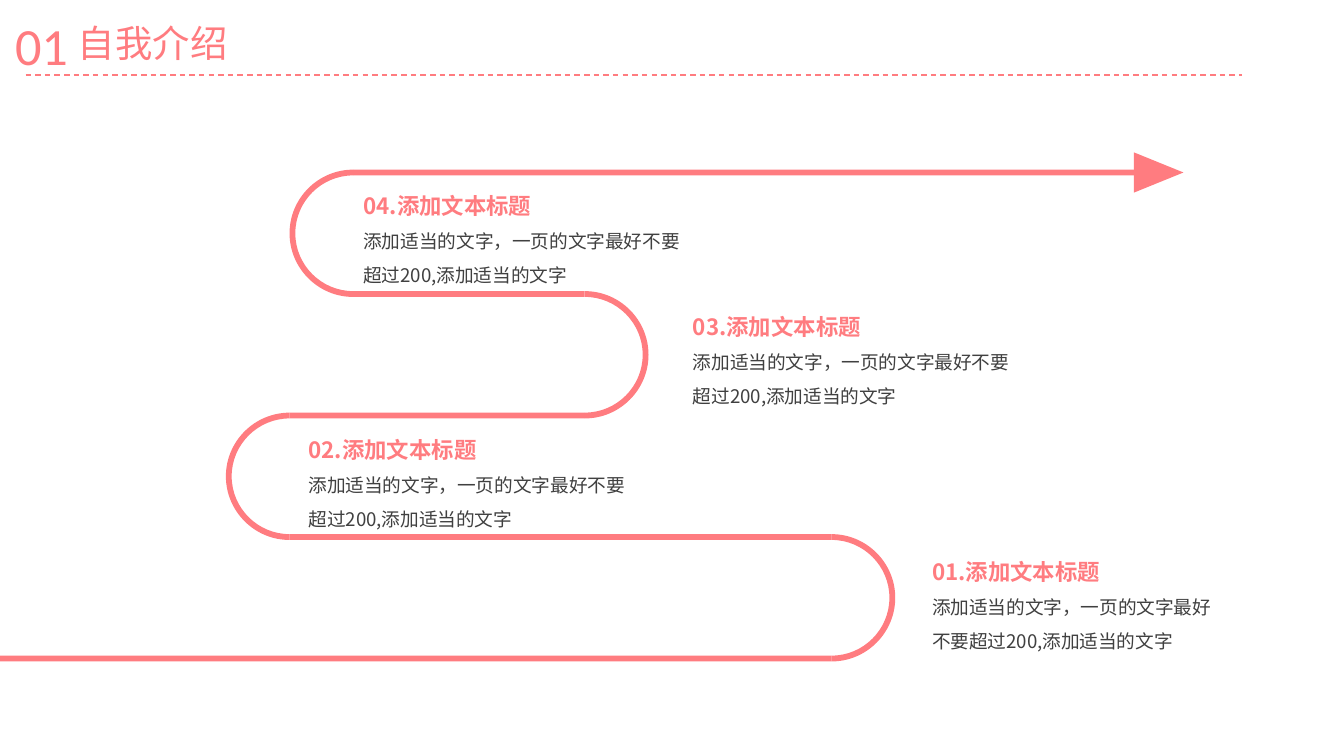
import itertools
from dataclasses import dataclass

from lxml import etree
from pptx import Presentation
from pptx.dml.color import RGBColor
from pptx.enum import dml, shapes, text
from pptx.oxml import ns
from pptx.util import Pt


@dataclass(frozen=True)
class Theme:
    accent: RGBColor = RGBColor(0xFF, 0x7C, 0x80)
    body: RGBColor = RGBColor(0x40, 0x40, 0x40)
    han: str = "Noto Sans CJK SC"
    latin: str = "Calibri"
    number_size: int = 28
    title_size: int = 20
    heading_size: int = 12
    body_size: int = 10


@dataclass(frozen=True)
class Box:
    left: float
    top: float
    width: float
    height: float

    def inner(self, left, top, width, height):
        return Box(self.left + left, self.top + top, width, height)

    def lengths(self):
        return [Pt(side) for side in (self.left, self.top, self.width, self.height)]


THEME = Theme()
DETAIL = "添加适当的文字，一页的文字最好不要超过200,添加适当的文字"
CURVE = 0.55


def style(para, size, color, name=THEME.han, bold=False):
    font = para.font
    font.size, font.bold, font.name = Pt(size), bold, name
    font.color.rgb = color
    latin = para._p.find(".//" + ns.qn("a:latin"))
    latin.addnext(etree.Element(ns.qn("a:ea"), typeface=name))


def add_text(page, box, lines, wrap=True):
    frame = page.shapes.add_textbox(*box.lengths()).text_frame
    frame.word_wrap = wrap
    frame.auto_size = text.MSO_AUTO_SIZE.SHAPE_TO_FIT_TEXT
    frame.text = "\n".join(lines)
    return frame


def add_text_shadow(span):
    effects = etree.SubElement(span._r.get_or_add_rPr(), ns.qn("a:effectLst"))
    shadow = etree.SubElement(effects, ns.qn("a:outerShdw"), blurRad="38100",
                              dist="38100", dir="2700000", algn="tl")
    color = etree.SubElement(shadow, ns.qn("a:srgbClr"), val="000000")
    etree.SubElement(color, ns.qn("a:alpha"), val="43000")


def paint(shape):
    shape.shadow.inherit = False
    shape.fill.solid()
    shape.fill.fore_color.rgb = THEME.accent
    shape.line.fill.background()


def half_circle(reach):
    pull = CURVE * reach
    return [(0, -reach), (pull, -reach), (reach, -pull), (reach, 0),
            (reach, pull), (pull, reach), (0, reach)]


def round_corners(shape):
    lines = iter(shape._element.findall(".//" + ns.qn("a:lnTo")))
    for size in (3, 3, 1, 3, 3):
        group = list(itertools.islice(lines, size))
        if size == 3:
            curve = etree.Element(ns.qn("a:cubicBezTo"))
            group[0].addprevious(curve)
            for line in group:
                curve.append(line[0])
                line.getparent().remove(line)


def add_bend(page, center_x, top, height, thickness, side):
    radius = height / 2
    outline = half_circle(radius) + half_circle(radius - thickness)[::-1]
    points = [(Pt(center_x + side * x), Pt(top + radius + y)) for x, y in outline]
    builder = page.shapes.build_freeform(*points[0])
    builder.add_line_segments(points[1:], close=True)
    bend = builder.convert_to_shape()
    round_corners(bend)
    paint(bend)


def add_road(page, box, turns):
    thickness = 3.1
    pitch = (box.height - thickness) / len(turns)
    stops = [0, *turns, box.width]
    for index, (start, end) in enumerate(zip(stops, stops[1:])):
        top = box.height - thickness - index * pitch
        rail = box.inner(min(start, end), top, abs(end - start), thickness)
        paint(page.shapes.add_shape(shapes.MSO_SHAPE.RECTANGLE, *rail.lengths()))
        if index < len(turns):
            add_bend(page, box.left + end, box.top + top - pitch,
                     pitch + thickness, thickness, 1 if end > start else -1)
    tip = box.inner(box.width - 0.2, thickness / 2 - 13.3, 21.6, 26.6)
    head = page.shapes.add_shape(shapes.MSO_SHAPE.ISOSCELES_TRIANGLE, *tip.lengths())
    head.rotation = 90
    paint(head)


def add_step(page, box, number):
    frame = add_text(page, box, [f"{number:02}.添加文本标题", DETAIL])
    frame.margin_left = frame.margin_right = Pt(5.4)
    frame.margin_top = frame.margin_bottom = Pt(2.7)
    heading, detail = frame.paragraphs
    heading.line_spacing = detail.line_spacing = 1.5
    style(heading, THEME.heading_size, THEME.accent, bold=True)
    style(detail, THEME.body_size, THEME.body)


def add_header(page, box, number, title):
    rule_left, rule_top = box.left + 12.7, box.top + box.height
    rule = page.shapes.add_connector(
        shapes.MSO_CONNECTOR.STRAIGHT, Pt(rule_left), Pt(rule_top),
        Pt(box.left + box.width), Pt(rule_top))
    rule.line.color.rgb = THEME.accent
    rule.line.width = Pt(0.75)
    rule.line.dash_style = dml.MSO_LINE.DASH
    etree.SubElement(rule._element.spPr, ns.qn("a:effectLst"))
    title_para = add_text(page, box.inner(33.7, 7.4, 255, 31.5), [title]).paragraphs[0]
    style(title_para, THEME.title_size, THEME.accent)
    add_text_shadow(title_para.runs[0])
    number_frame = add_text(page, box.inner(0, 3.6, 43.2, 41), [number], wrap=False)
    style(number_frame.paragraphs[0], THEME.number_size, THEME.accent, THEME.latin)


def main():
    deck = Presentation()
    deck.slide_width, deck.slide_height = Pt(720), Pt(405)
    page = deck.slides.add_slide(deck.slide_layouts[6])
    add_road(page, Box(-2.9, 90.9, 613, 263.5), [448.4, 158, 316.2, 192.1])
    steps = [(493.9, 289.1, 170), (159.9, 223.5, 187.2),
             (365.8, 157.7, 187.2), (189.3, 92.9, 187.2)]
    for number, (left, top, width) in enumerate(steps, 1):
        add_step(page, Box(left, top, width, 63.4), number)
    add_header(page, Box(1, 0, 664.3, 40.3), "01", "自我介绍")
    deck.save("out.pptx")


if __name__ == "__main__":
    main()
